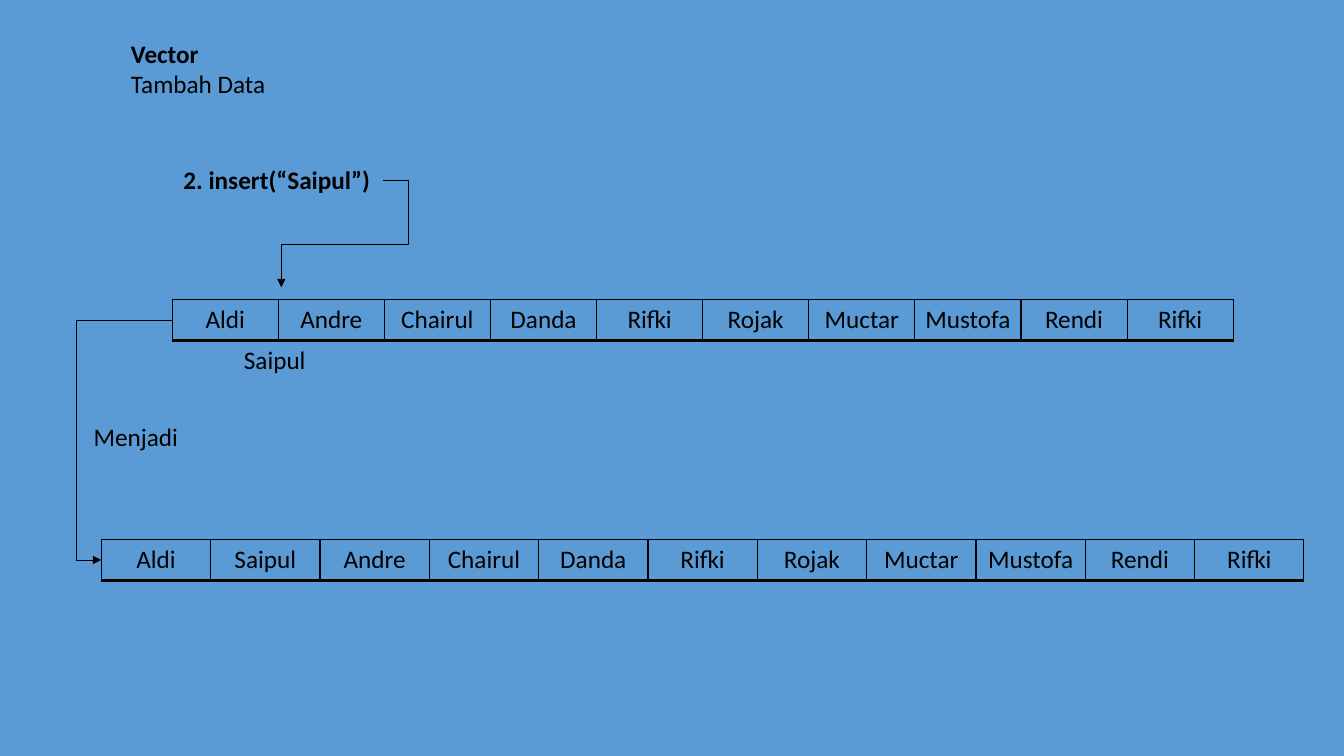
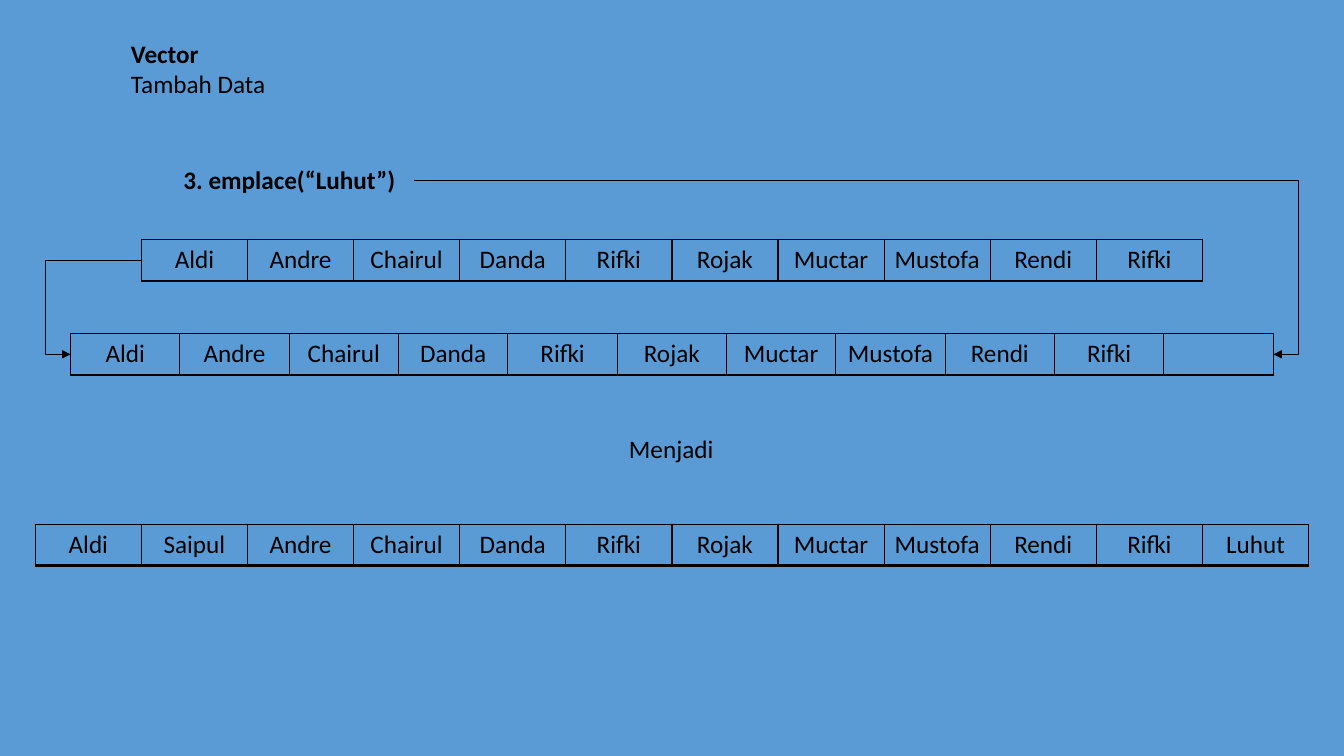
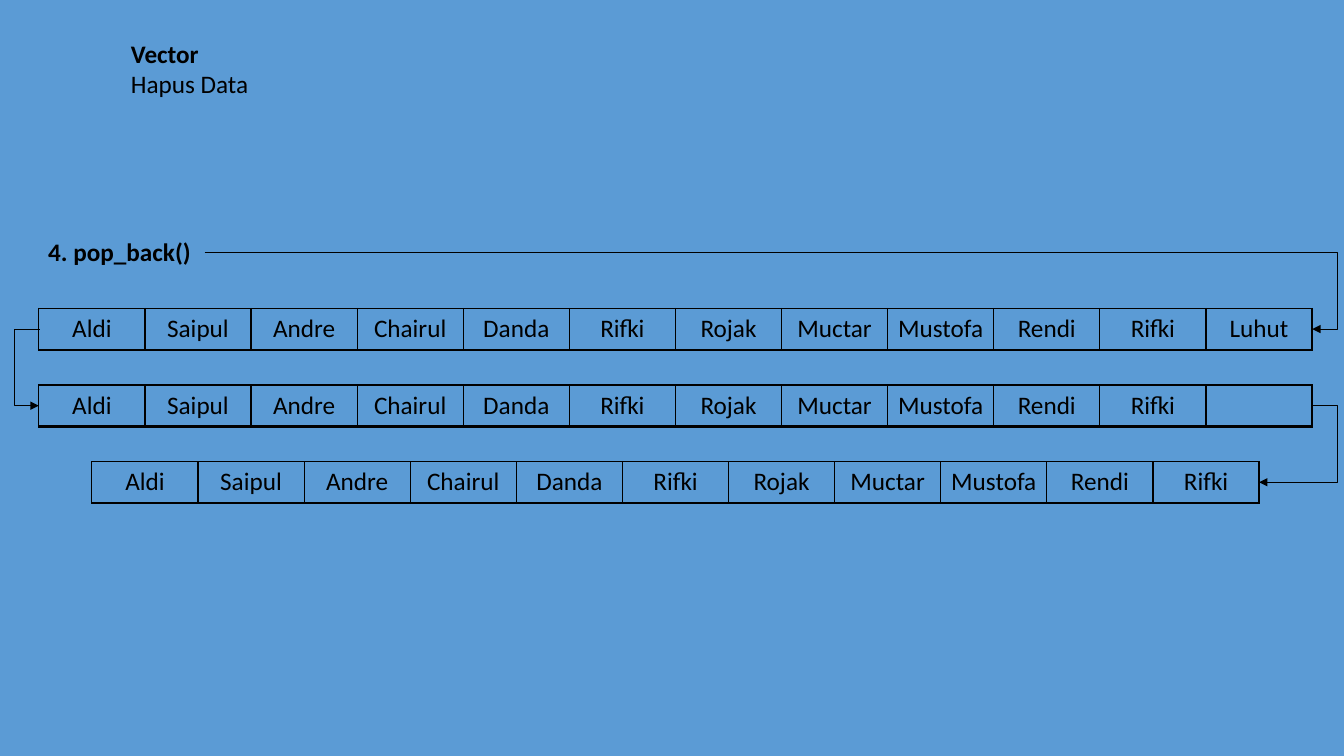
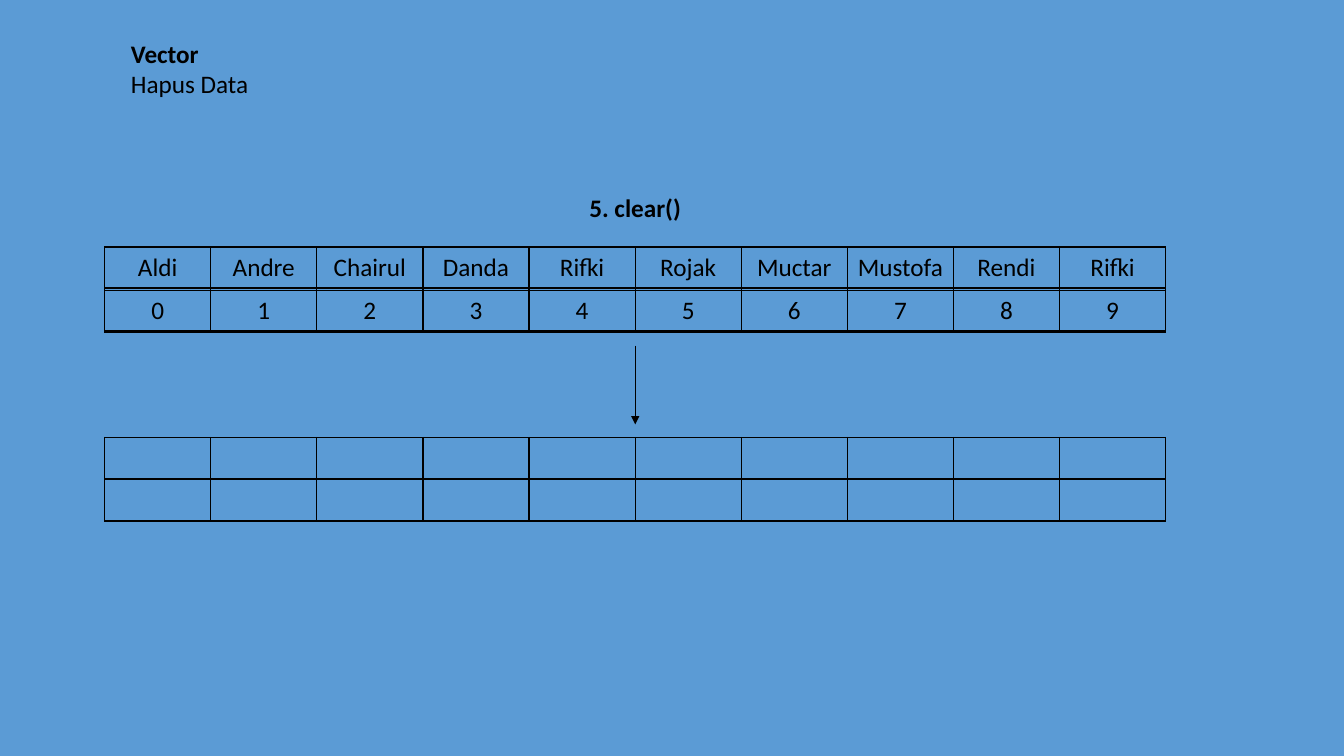
"""Four slides on how a vector adds and drops data."""
from dataclasses import dataclass

from lxml import etree
from pptx import Presentation, util as u
from pptx.dml.color import RGBColor
from pptx.enum import shapes, text
from pptx.oxml.ns import qn

COLS, ROWS = 13.33, 7.5
BLUE, BLACK = "5B9BD5", "000000"
FONT = {"name": "Calibri", "size": u.Pt(18)}
CELL, BROAD, TALL = 12.63 / 12, 11.93 / 11, 0.41
BEND = 0.25
EDGES = {"lnL": 1, "lnR": 1, "lnT": 1, "lnB": 2}

BASE = ["Aldi", "Andre", "Chairul", "Danda", "Rifki", "Rojak",
        "Muctar", "Mustofa", "Rendi", "Rifki"]
MORE = BASE[:1] + ["Saipul"] + BASE[1:]
FULL = MORE + ["Luhut"]


@dataclass
class Strip:
    """A row of cells centred on one grid column."""
    centre: float
    top: float
    words: list[str]
    cell: float = CELL

    @property
    def left(self) -> float:
        """Give the left edge."""
        return self.centre - self.cell * len(self.words) / 2

    @property
    def right(self) -> float:
        """Give the right edge."""
        return self.centre + self.cell * len(self.words) / 2

    @property
    def mid(self) -> float:
        """Give the middle height."""
        return self.top + TALL / 2


@dataclass
class Label:
    """A text box of lines, each with its bold flag."""
    left: float
    top: float
    width: float
    lines: list[tuple[str, bool]]
    centred: bool = False


@dataclass
class Arrow:
    """A line that bends beyond its ends on one side, or runs straight."""
    start: tuple[float, float]
    end: tuple[float, float]
    side: int = 0
    drop: float | None = None


def grid(size: float) -> u.Emu:
    """Turn grid units into a length."""
    return u.Inches(size)


def paint(code: str) -> RGBColor:
    """Turn a hex string into a colour."""
    return RGBColor.from_string(code)


def write(para, words: str, bold: bool, centred: bool) -> None:
    """Fill a paragraph with one styled run."""
    para.alignment = text.PP_ALIGN.CENTER if centred else text.PP_ALIGN.LEFT
    run = para.add_run()
    run.text = words
    for key, value in {**FONT, "bold": bold}.items():
        setattr(run.font, key, value)
    run.font.color.rgb = paint(BLACK)


def frame(cell) -> None:
    """Give a cell black edges and no fill."""
    props = cell._tc.get_or_add_tcPr()
    for tag, width in EDGES.items():
        line = etree.SubElement(props, qn(f"a:{tag}"), w=str(u.Pt(width)))
        fill = etree.SubElement(line, qn("a:solidFill"))
        etree.SubElement(fill, qn("a:srgbClr"), val=BLACK)
    cell.fill.background()


def draw_strip(slide, strip: Strip) -> None:
    """Draw a row of cells as a table."""
    count = len(strip.words)
    table = slide.shapes.add_table(
        1, count, grid(strip.left), grid(strip.top),
        grid(strip.cell * count), grid(TALL)).table
    table.first_row = table.horz_banding = False
    for col, word in enumerate(strip.words):
        table.columns[col].width = grid(strip.cell)
        cell = table.cell(0, col)
        frame(cell)
        if word:
            write(cell.text_frame.paragraphs[0], word, False, True)


def draw_label(slide, label: Label) -> None:
    """Draw a text box."""
    high = 0.1 + 0.3 * len(label.lines)
    body = slide.shapes.add_textbox(
        grid(label.left), grid(label.top), grid(label.width), grid(high)).text_frame
    body.word_wrap = True
    body.auto_size = text.MSO_AUTO_SIZE.SHAPE_TO_FIT_TEXT
    for index, (words, bold) in enumerate(label.lines):
        para = body.add_paragraph() if index else body.paragraphs[0]
        write(para, words, bold, label.centred)


def draw_arrow(slide, arrow: Arrow) -> None:
    """Draw a straight or bent arrow."""
    (x1, y1), (x2, y2) = arrow.start, arrow.end
    kind = shapes.MSO_CONNECTOR.ELBOW if arrow.side else shapes.MSO_CONNECTOR.STRAIGHT
    link = slide.shapes.add_connector(kind, *map(grid, (x1, y1, x2, y2)))
    link.line.color.rgb = paint(BLACK)
    link.line.width = u.Pt(0.5)
    etree.SubElement(link.line._get_or_add_ln(), qn("a:tailEnd"), type="triangle")
    props = link.element.spPr
    etree.SubElement(props, qn("a:effectLst"))
    if not arrow.side:
        return
    turn = max(x1, x2) + BEND if arrow.side > 0 else min(x1, x2) - BEND
    shares = [(turn - x1) / (x2 - x1)]
    shape = props.find(qn("a:prstGeom"))
    if arrow.drop is not None:
        shares.append((arrow.drop - y1) / (y2 - y1))
        shape.set("prst", "bentConnector4")
    guides = shape.find(qn("a:avLst"))
    if guides is None:
        guides = etree.SubElement(shape, qn("a:avLst"))
    for index, share in enumerate(shares, 1):
        name = f"adj{index}" if len(shares) > 1 or arrow.side else "adj"
        etree.SubElement(guides, qn("a:gd"), name=name, fmla=f"val {round(share * 100000)}")


def join(first: Strip, last: Strip, side: int, shift: float = 0) -> Arrow:
    """Link two strips along one side."""
    edge = "right" if side > 0 else "left"
    return Arrow((getattr(first, edge) + shift, first.mid),
                 (getattr(last, edge), last.mid), side)


def call(left: float, top: float, width: float, words: str,
         centred: bool = False) -> Label:
    """Make a bold label for a method call."""
    return Label(left, top, width, [(words, True)], centred)


def note(left: float, top: float, width: float, words: str,
         centred: bool = False) -> Label:
    """Make a plain label."""
    return Label(left, top, width, [(words, False)], centred)


def build(deck, topic: str, *parts: Strip | Label | Arrow) -> None:
    """Add a slide with its title and parts."""
    slide = deck.slides.add_slide(deck.slide_layouts[6])
    tools = {Strip: draw_strip, Label: draw_label, Arrow: draw_arrow}
    title = Label(1.2, 0.33, 1.95, [("Vector", True), (topic, False)])
    for part in (title, *parts):
        tools[type(part)](slide, part)


def main() -> None:
    """Build and save the deck."""
    deck = Presentation()
    deck.slide_width, deck.slide_height = grid(COLS), grid(ROWS)
    back = deck.slide_master.background.fill
    back.solid()
    back.fore_color.rgb = paint(BLUE)

    old, new = Strip(6.97, 2.97, BASE), Strip(6.97, 5.35, MORE, BROAD)
    build(deck, "Tambah Data", old, new, join(old, new, -1),
          call(1.72, 1.58, 2.08, "2. insert(“Saipul”)"),
          Arrow((3.8, 1.79), (2.79, 2.85), 1, 2.42),
          note(0.83, 4.13, 1.06, "Menjadi"),
          note(2.15, 3.37, 1.15, "Saipul", True))

    half = COLS / 2
    old, new = Strip(half, 2.38, BASE), Strip(half, 3.31, BASE + [""], BROAD)
    build(deck, "Tambah Data", old, new, Strip(half, 5.2, FULL), join(old, new, -1),
          call(1.72, 1.58, 2.39, "3. emplace(“Luhut”)"),
          Arrow((4.11, 1.79), (new.right, new.mid), 1),
          note(6.14, 4.25, 1.06, "Menjadi"))

    old, gone, new = (Strip(6.7, 3.06 + 0.76 * step, words)
                      for step, words in enumerate((FULL, MORE + [""], MORE)))
    build(deck, "Hapus Data", old, gone, new,
          call(0.38, 2.3, 1.65, "4. pop_back()"),
          Arrow((2.03, 2.5), (old.right, old.mid), 1),
          join(old, gone, -1, 0.01), join(gone, new, 1))

    marks = [str(index) for index in range(len(BASE))]
    bare = [""] * len(BASE)
    pairs = ((2.45, BASE), (2.88, marks), (4.34, bare), (4.76, bare))
    build(deck, "Hapus Data", *(Strip(6.3, top, words) for top, words in pairs),
          call(4.92, 1.86, 2.76, "5. clear()", True),
          Arrow((6.3, 3.43), (6.3, 4.21)))
    deck.save("out.pptx")


if __name__ == "__main__":
    main()
